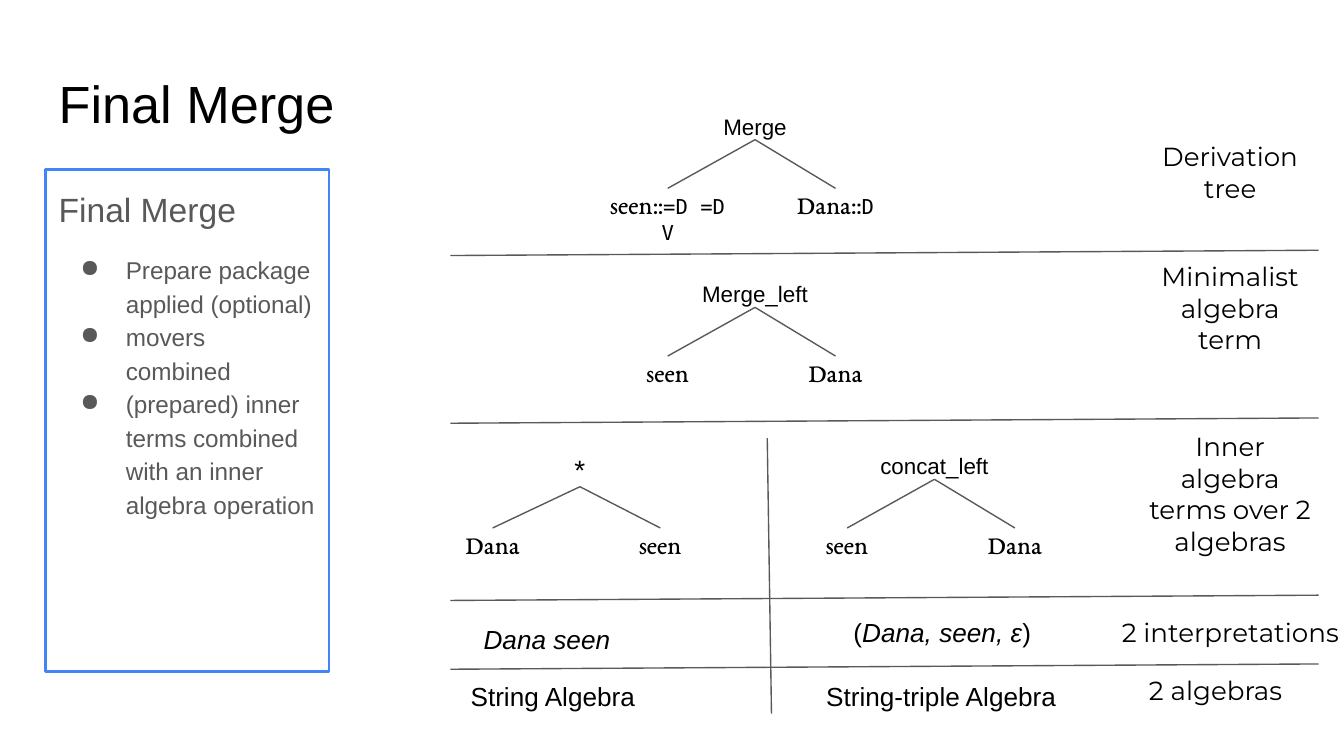
from lxml.etree import SubElement
from pptx import Presentation
from pptx.dml.color import RGBColor
from pptx.enum.shapes import MSO_CONNECTOR as Link, MSO_SHAPE as Preset
from pptx.enum.text import MSO_ANCHOR as Anchor, PP_ALIGN as Align
from pptx.oxml.ns import qn
from pptx.util import Cm, Pt

COLORS = {"ink": "000000", "gray": "595959", "frame": "4285F4"}
SANS = {"name": "Arial", "size": Pt(14)}
ITALIC = {**SANS, "italic": True}
WORD = {"name": "EB Garamond", "size": Pt(14)}
FEATURE = {"name": "DejaVu Sans Mono", "size": Pt(11)}
OPERATION = {"name": "Arial", "size": Pt(12)}
STAR = {"name": "Arial", "size": Pt(15)}
LABEL = {"name": "Montserrat", "size": Pt(14)}
HEADING = {"name": "Arial", "size": Pt(28)}
SUBHEADING = {"name": "Arial", "size": Pt(18)}
BULLET = {"name": "Arial", "size": Pt(13)}

deck = Presentation()
deck.slide_width, deck.slide_height = Cm(25.4), Cm(14.29)
slide = deck.slides.add_slide(deck.slide_layouts[6])
shapes = slide.shapes


def write(holder, paragraphs, color="ink", align=Align.CENTER, anchor=Anchor.TOP, pad=0.25, spacing=None):
    frame = holder.text_frame
    layout = {"word_wrap": True, "vertical_anchor": anchor, "margin_left": Cm(0.25),
              "margin_right": Cm(0.25), "margin_top": Cm(pad), "margin_bottom": Cm(pad)}
    for key, value in layout.items():
        setattr(frame, key, value)
    for index, runs in enumerate(paragraphs):
        paragraph = frame.paragraphs[0] if index == 0 else frame.add_paragraph()
        paragraph.alignment = align
        paragraph.line_spacing = spacing
        for words, style in runs:
            run = paragraph.add_run()
            run.text = words
            run.font.color.rgb = RGBColor.from_string(COLORS[color])
            for key, value in style.items():
                setattr(run.font, key, value)
    return holder


def draw_line(x1, y1, x2, y2):
    line = shapes.add_connector(Link.STRAIGHT, Cm(x1), Cm(y1), Cm(x2), Cm(y2))
    line.line.color.rgb = RGBColor.from_string(COLORS["gray"])
    line.line.width = Pt(0.75)
    SubElement(line._element.spPr, qn("a:effectLst"))
    return line


title = shapes.add_textbox(Cm(0.86), Cm(1.24), Cm(23.67), Cm(1.6))
write(title, [[("Final Merge", HEADING)]], align=Align.LEFT, spacing=0.9)

steps = ["Prepare package applied (optional)", "movers combined",
         "(prepared) inner terms combined with an inner algebra operation"]
summary = shapes.add_shape(Preset.RECTANGLE, Cm(0.86), Cm(3.2), Cm(5.36), Cm(9.5))
summary.shadow.inherit = False
summary.fill.background()
summary.line.color.rgb = RGBColor.from_string(COLORS["frame"])
summary.line.width = Pt(1.5)
write(summary, [[("Final Merge", SUBHEADING)]] + [[(step, BULLET)] for step in steps],
      color="gray", align=Align.LEFT, spacing=1.15)
bullets = summary.text_frame.paragraphs[1:]
bullets[0].space_before = Pt(12)
for bullet in bullets:
    properties = bullet._p.get_or_add_pPr()
    properties.set("marL", str(Cm(1.27)))
    properties.set("indent", str(-Cm(0.86)))
    bullet_color = SubElement(properties, qn("a:buClr"))
    SubElement(bullet_color, qn("a:srgbClr"), val=COLORS["gray"])
    SubElement(properties, qn("a:buChar"), char="●")

seen, dana = [("seen", WORD)], [("Dana", WORD)]
trees = [
    (14.27, 3.56, 0.51, [("Merge", OPERATION)],
     [("seen::", WORD), ("=D =D V", FEATURE)], [("Dana::", WORD), ("D", FEATURE)]),
    (14.27, 6.73, 0.51, [("Merge_left", OPERATION)], seen, dana),
    (10.96, 9.98, 0.65, [("*", STAR)], dana, seen),
    (17.66, 9.98, 0.51, [("concat_left", OPERATION)], seen, dana),
]
for center, leaf_top, root_height, root_runs, left_runs, right_runs in trees:
    root = shapes.add_textbox(Cm(center - 1.37), Cm(leaf_top - 1.43), Cm(2.74), Cm(root_height))
    write(root, [root_runs], pad=0)
    for offset, width, runs in [(-1.65, 3.07, left_runs), (1.52, 3.18, right_runs)]:
        leaf_height = 1.07 if "=D" in runs[-1][0] else 0.58
        leaf = shapes.add_textbox(Cm(center + offset - width / 2), Cm(leaf_top), Cm(width), Cm(leaf_height))
        write(leaf, [runs], pad=0)
        branch = draw_line(center, leaf_top - 0.92, center + offset, leaf_top)
        branch.begin_connect(root, 2)
        branch.end_connect(leaf, 0)

results = [
    (8.89, 11.53, 3.81, 0.84, Align.LEFT, [("Dana seen", ITALIC)]),
    (15.88, 11.4, 4.55, 1.07, Align.LEFT, [("(", SANS), ("Dana, seen, ε", ITALIC), (")", SANS)]),
    (7.49, 12.62, 5.92, 1.07, Align.CENTER, [("String Algebra", SANS)]),
    (14.83, 12.62, 5.92, 1.07, Align.CENTER, [("String-triple Algebra", SANS)]),
]
for left, top, width, height, align, runs in results:
    write(shapes.add_textbox(Cm(left), Cm(top), Cm(width), Cm(height)), [runs], align=align)

row_labels = [
    (21.46, 2.34, 3.58, 1.83, "Derivation tree"),
    (21.46, 4.9, 3.58, 1.83, "Minimalist algebra term"),
    (21.46, 8.1, 3.58, 2.46, "Inner algebra terms over 2 algebras"),
    (20.83, 11.28, 4.85, 1.35, "2 interpretations"),
    (20.55, 12.37, 4.85, 1.35, "2 algebras"),
]
for left, top, width, height, words in row_labels:
    label = shapes.add_textbox(Cm(left), Cm(top), Cm(width), Cm(height))
    write(label, [[(words, LABEL)]], anchor=Anchor.MIDDLE)

for row_end in [4.83, 8, 11.35, 12.65]:
    draw_line(8.51, row_end, 24.92, row_end - 0.1)
draw_line(14.58, 13.49, 14.5, 8.28)

deck.save("out.pptx")
